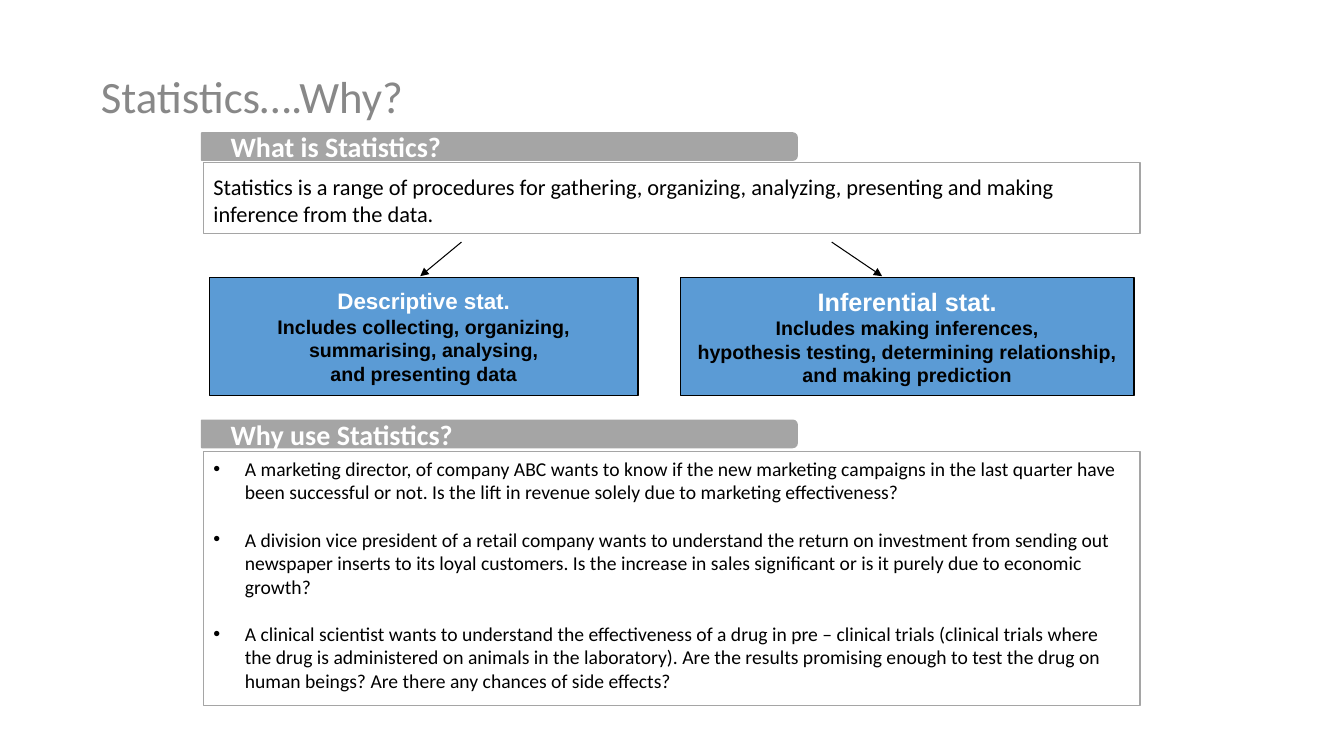
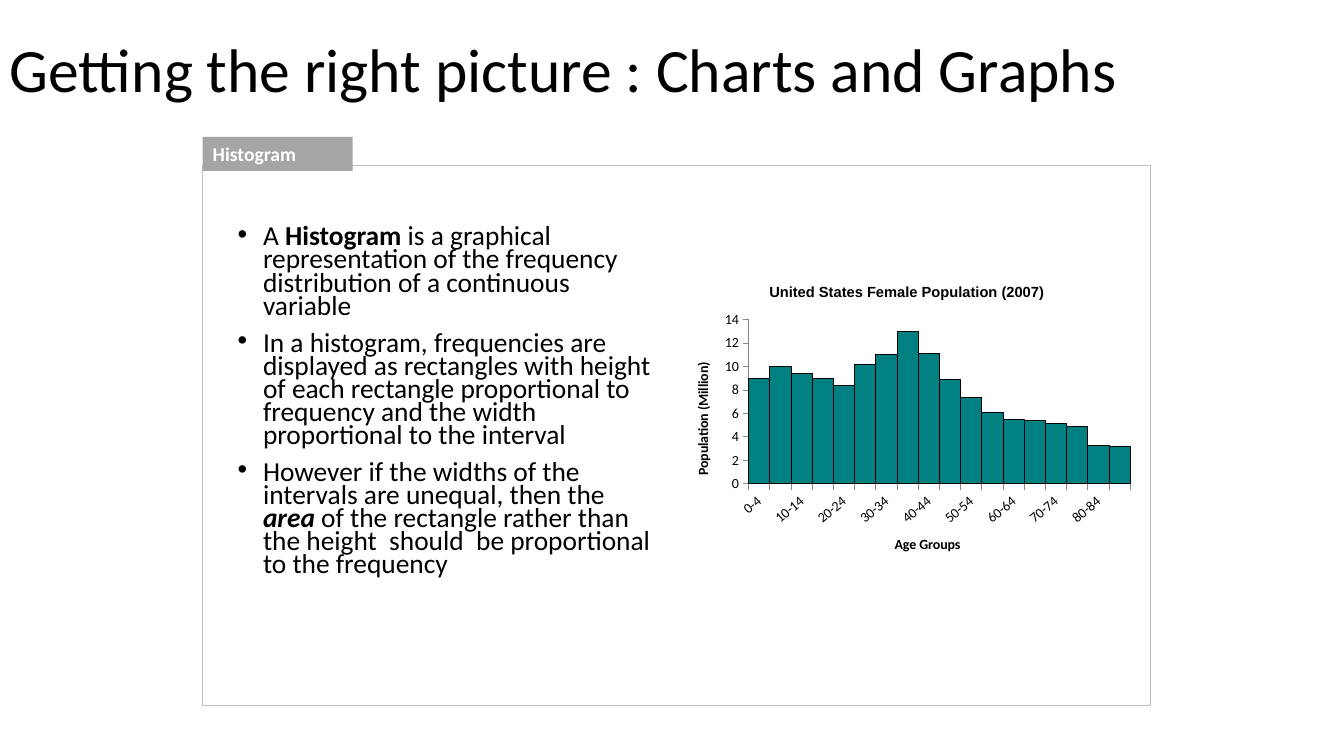
from collections import namedtuple
from dataclasses import dataclass

from lxml import etree
from pptx import Presentation
from pptx import util as u
from pptx.chart import data as chart_data
from pptx.dml import color
from pptx.enum import chart as charts, shapes, text
from pptx.oxml import ns


@dataclass(frozen=True)
class Theme:
    body_font: str = "Calibri"
    card_font: str = "Arial"
    black: str = "000000"
    white: str = "FFFFFF"
    title_grey: str = "888888"
    grey: str = "A5A5A5"
    frame_grey: str = "BFBFBF"
    axis_grey: str = "878787"
    blue: str = "5B9BD5"
    teal: str = "008080"
    large_title: float = 44
    small_title: float = 32
    banner: float = 20
    bullets: float = 19.6
    inferential: float = 18
    definition: float = 16
    detail: float = 14
    chart_title: float = 10.5
    chart: float = 10


THEME = Theme()
Box = namedtuple("Box", "left top width height")

REASONS = [
    "A marketing director, of company ABC wants to know if the new marketing campaigns in the last quarter have been successful or not. Is the lift in revenue solely due to marketing effectiveness?",
    "A division vice president of a retail company wants to understand the return on investment from sending out newspaper inserts to its loyal customers. Is the increase in sales significant or is it purely due to economic growth?",
    "A clinical scientist wants to understand the effectiveness of a drug in pre – clinical trials (clinical trials where the drug is administered on animals in the laboratory). Are the results promising enough to test the drug on human beings? Are there any chances of side effects?",
]
HISTOGRAM_POINTS = [
    [("A ", {}), ("Histogram", {"bold": True}),
     (" is a graphical representation of the frequency distribution of a continuous variable", {})],
    "In a histogram, frequencies are displayed as rectangles with height of each rectangle proportional to frequency and the width proportional to the interval",
    [("However if the widths of the intervals are unequal, then the ", {}),
     ("area", {"bold": True, "italic": True}),
     (" of the rectangle rather than the height  should  be proportional to the frequency", {})],
]
AGE_GROUPS = [f"{age}-{age + 4}" for age in range(0, 85, 5)] + ["85+"]
POPULATION = [9, 10, 9.4, 9, 8.4, 10.2, 11, 13, 11.1, 8.9, 7.4, 6.1, 5.5, 5.4, 5.1, 4.9, 3.3, 3.2]


def rgb(value):
    return color.RGBColor.from_string(value)


def lengths(box):
    return [u.Cm(value) for value in box]


def format_font(font, size, ink, name=THEME.body_font, bold=False, italic=False):
    font.size = u.Pt(size)
    font.name = name
    font.color.rgb = rgb(ink)
    font.bold = bold
    font.italic = italic


def write_text(frame, paragraphs, align=text.PP_ALIGN.LEFT, bullet=False, indent=0,
               line_spacing=None, before=0, after=0, **font_format):
    for index, content in enumerate(paragraphs):
        paragraph = frame.paragraphs[0] if index == 0 else frame.add_paragraph()
        paragraph.alignment = align
        paragraph.space_before = u.Pt(before)
        paragraph.space_after = u.Pt(after)
        if line_spacing:
            paragraph.line_spacing = line_spacing
        runs = [(content, {})] if isinstance(content, str) else content
        for words, changes in runs:
            run = paragraph.add_run()
            run.text = words
            format_font(run.font, **{**font_format, **changes})
        if indent:
            properties = paragraph.runs[0].font and paragraph._p.get_or_add_pPr()
            properties.set("marL", str(u.Cm(indent)))
            properties.set("indent", str(-u.Cm(indent) if bullet else 0))
            if bullet:
                etree.SubElement(properties, ns.qn("a:buFont"), typeface="Arial")
                etree.SubElement(properties, ns.qn("a:buChar"), char="•")


def add_text_box(slide, box, paragraphs, anchor=text.MSO_ANCHOR.TOP, **text_format):
    frame = slide.shapes.add_textbox(*lengths(box)).text_frame
    frame.word_wrap = True
    frame.vertical_anchor = anchor
    write_text(frame, paragraphs, **text_format)


def add_panel(slide, box, fill=None, line=None, line_width=1,
              kind=shapes.MSO_SHAPE.RECTANGLE, anchor=text.MSO_ANCHOR.TOP):
    panel = slide.shapes.add_shape(kind, *lengths(box))
    panel.shadow.inherit = False
    if fill:
        panel.fill.solid()
        panel.fill.fore_color.rgb = rgb(fill)
    else:
        panel.fill.background()
    if line:
        panel.line.color.rgb = rgb(line)
        panel.line.width = u.Pt(line_width)
    else:
        panel.line.fill.background()
    panel.text_frame.word_wrap = True
    panel.text_frame.vertical_anchor = anchor
    return panel


def add_title(slide, box, words, size, ink):
    add_text_box(slide, box, [words], anchor=text.MSO_ANCHOR.MIDDLE,
                 line_spacing=0.9, size=size, ink=ink)


def add_banner(slide, box, words):
    upright = Box(box.left + (box.width - box.height) / 2,
                  box.top + (box.height - box.width) / 2, box.height, box.width)
    banner = add_panel(slide, upright, THEME.grey, THEME.grey,
                       kind=shapes.MSO_SHAPE.ROUND_2_SAME_RECTANGLE,
                       anchor=text.MSO_ANCHOR.MIDDLE)
    banner.rotation = 90
    banner.element.find(".//" + ns.qn("a:bodyPr")).set("vert", "vert270")
    write_text(banner.text_frame, [words], indent=0.48,
               size=THEME.banner, ink=THEME.white, bold=True)


def add_card(slide, box, heading, heading_size, details):
    card = add_panel(slide, box, THEME.blue, THEME.black, 0.75, anchor=text.MSO_ANCHOR.MIDDLE)
    card.text_frame.word_wrap = False
    heading_run = (heading, {"size": heading_size, "ink": THEME.white})
    write_text(card.text_frame, [[heading_run], *details], align=text.PP_ALIGN.CENTER,
               size=THEME.detail, ink=THEME.black, name=THEME.card_font, bold=True)


def add_arrow(slide, start, end):
    arrow = slide.shapes.add_connector(shapes.MSO_CONNECTOR.STRAIGHT, *lengths(start + end))
    arrow.line.color.rgb = rgb(THEME.black)
    arrow.line.width = u.Pt(0.75)
    properties = arrow.element.spPr
    etree.SubElement(properties.find(ns.qn("a:ln")), ns.qn("a:tailEnd"), type="triangle")
    etree.SubElement(properties, ns.qn("a:effectLst"))


def add_definition(slide, box):
    add_banner(slide, Box(box.left, box.top, 15.01, 0.69), "What is Statistics?")
    definition = add_panel(slide, Box(box.left + 0.05, box.top + 0.74, box.width, 1.8),
                           line=THEME.grey)
    definition.text_frame.margin_top = u.Cm(0.28)
    write_text(definition.text_frame,
               ["Statistics is a range of procedures for gathering, organizing, analyzing, presenting and making inference from the data."],
               size=THEME.definition, ink=THEME.black)


def add_branches(slide, box):
    card_top, card_height = box.top + 0.89, box.height - 0.89
    add_card(slide, Box(box.left, card_top, 10.8, card_height), "Descriptive stat.",
             THEME.definition, ["Includes collecting, organizing,", "summarising, analysing,",
                                "and presenting data"])
    add_card(slide, Box(box.left + box.width - 11.43, card_top, 11.43, card_height),
             "Inferential stat.", THEME.inferential,
             ["Includes making inferences,", "hypothesis testing, determining relationship,",
              "and making prediction"])
    for start, end in ((6.35, 5.31), (15.68, 16.95)):
        add_arrow(slide, (box.left + start, box.top), (box.left + end, box.top + 0.86))


def add_reasons(slide, box):
    add_banner(slide, Box(box.left, box.top, 15.01, 0.69), "Why use Statistics?")
    reasons = add_panel(slide, Box(box.left + 0.05, box.top + 0.79, box.width, box.height - 0.79),
                        line=THEME.grey)
    write_text(reasons.text_frame, REASONS, bullet=True, indent=0.79, after=17,
               size=THEME.detail, ink=THEME.black)


def set_plot_area(chart, **fractions):
    plot_area = chart.element.find(".//" + ns.qn("c:plotArea"))
    for layout in plot_area.findall(ns.qn("c:layout")):
        plot_area.remove(layout)
    layout = etree.Element(ns.qn("c:layout"))
    plot_area.insert(0, layout)
    manual = etree.SubElement(layout, ns.qn("c:manualLayout"))
    settings = {"layoutTarget": "inner", "xMode": "edge", "yMode": "edge", **fractions}
    for tag, value in settings.items():
        etree.SubElement(manual, ns.qn(f"c:{tag}"), val=str(value))


def slant_age_labels(chart):
    axis = chart.element.find(".//" + ns.qn("c:catAx"))
    axis.find(ns.qn("c:txPr")).find(ns.qn("a:bodyPr")).set("rot", "-2400000")
    skip = etree.Element(ns.qn("c:tickLblSkip"), val="2")
    axis.find(ns.qn("c:noMultiLvlLbl")).addprevious(skip)


def add_histogram(slide, box):
    data = chart_data.CategoryChartData()
    data.categories = AGE_GROUPS
    data.add_series("Series 1", POPULATION)
    chart = slide.shapes.add_chart(charts.XL_CHART_TYPE.COLUMN_CLUSTERED,
                                   *lengths(box), data).chart
    format_font(chart.font, THEME.chart, THEME.black)
    chart.has_legend = False
    chart.has_title = True
    write_text(chart.chart_title.text_frame, ["United States Female Population (2007)"],
               align=text.PP_ALIGN.CENTER, size=THEME.chart_title, ink=THEME.black,
               name=THEME.card_font, bold=True)
    for axis, label in ((chart.category_axis, "Age Groups"),
                        (chart.value_axis, "Population (Million)")):
        axis.has_major_gridlines = False
        axis.major_tick_mark = charts.XL_TICK_MARK.OUTSIDE
        axis.format.line.color.rgb = rgb(THEME.axis_grey)
        format_font(axis.tick_labels.font, THEME.chart, THEME.black)
        write_text(axis.axis_title.text_frame, [label], align=text.PP_ALIGN.CENTER,
                   size=THEME.chart, ink=THEME.black, bold=True)
    chart.value_axis.minimum_scale = 0
    chart.value_axis.maximum_scale = 14
    chart.value_axis.major_unit = 2
    plot = chart.plots[0]
    plot.gap_width = 0
    plot.vary_by_categories = False
    bars = plot.series[0].format
    bars.fill.solid()
    bars.fill.fore_color.rgb = rgb(THEME.teal)
    bars.line.color.rgb = rgb(THEME.black)
    bars.line.width = u.Pt(0.75)
    slant_age_labels(chart)
    set_plot_area(chart, x=0.16, y=0.17, w=0.82, h=0.54)


def add_histogram_panel(slide, box):
    add_text_box(slide, Box(box.left + 0.63, box.top + 1.44, 10.97, 10.74), HISTOGRAM_POINTS,
                 bullet=True, indent=0.64, line_spacing=0.7, before=10,
                 size=THEME.bullets, ink=THEME.black)
    add_histogram(slide, Box(box.left + 11.88, box.top + 2.59, 11.73, 7.65))
    add_panel(slide, box, line=THEME.frame_grey)
    tab = add_panel(slide, Box(box.left, box.top - 0.72, 3.78, 0.86), THEME.grey)
    write_text(tab.text_frame, ["Histogram"], size=THEME.detail, ink=THEME.white, bold=True)


def build_statistics_slide(slide):
    add_title(slide, Box(2.29, 0.66, 29.21, 3.68), "Statistics….Why?",
              THEME.small_title, THEME.title_grey)
    add_definition(slide, Box(5.08, 3.35, 23.6, 2.54))
    add_branches(slide, Box(5.28, 6.1, 23.3, 3.86))
    add_reasons(slide, Box(5.08, 10.59, 23.6, 7.19))


def build_charts_slide(slide):
    add_title(slide, Box(0, 0, 29.21, 3.68), "Getting the right picture : Charts and Graphs",
              THEME.large_title, THEME.black)
    add_histogram_panel(slide, Box(5.11, 4.17, 23.88, 13.61))


def main():
    presentation = Presentation()
    presentation.slide_width = u.Cm(33.87)
    presentation.slide_height = u.Cm(19.05)
    for build in (build_statistics_slide, build_charts_slide):
        build(presentation.slides.add_slide(presentation.slide_layouts[6]))
    presentation.save("out.pptx")


if __name__ == "__main__":
    main()
